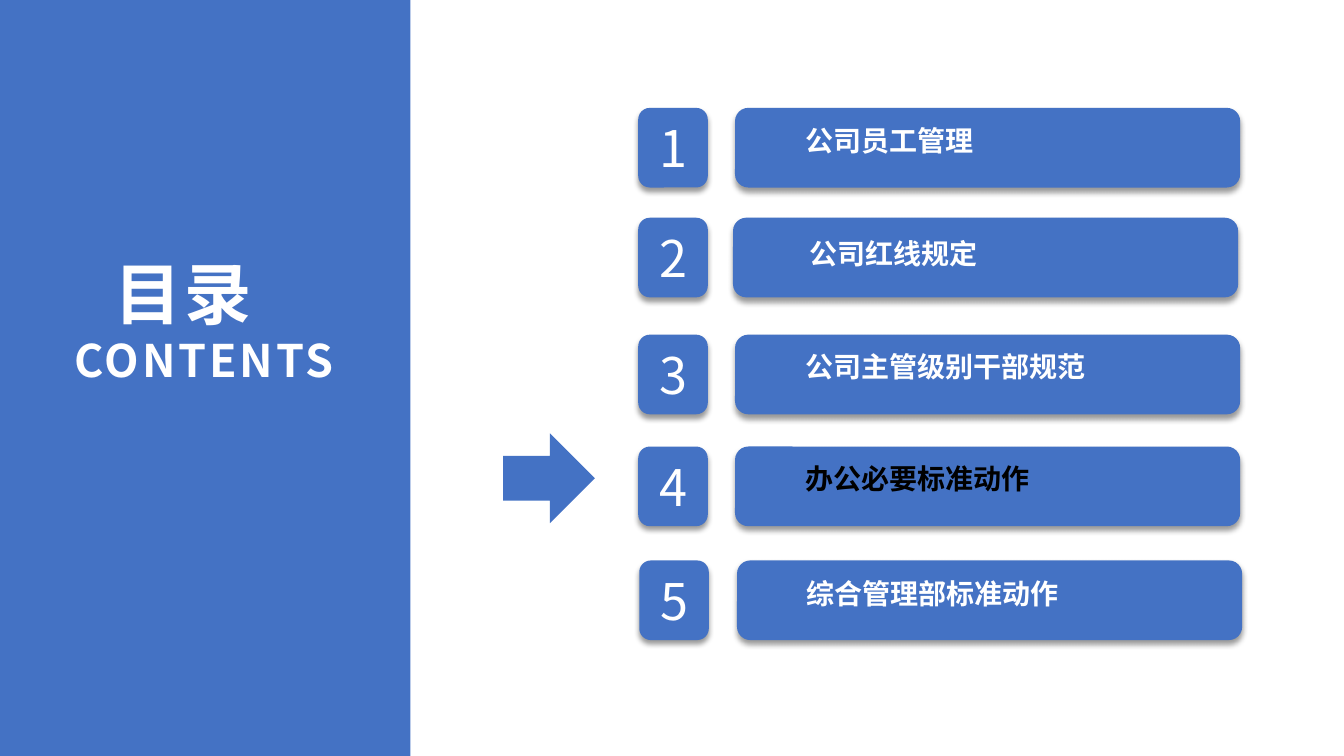
from dataclasses import dataclass

from lxml import etree
from pptx import Presentation
from pptx.dml.color import RGBColor
from pptx.enum.shapes import MSO_SHAPE
from pptx.enum.text import MSO_ANCHOR, MSO_AUTO_SIZE, PP_ALIGN
from pptx.oxml.ns import qn
from pptx.util import Inches, Pt

RECTANGLE, ROUNDED = MSO_SHAPE.RECTANGLE, MSO_SHAPE.ROUNDED_RECTANGLE
DOWN_ARROW = MSO_SHAPE.DOWN_ARROW
TOP, MIDDLE = MSO_ANCHOR.TOP, MSO_ANCHOR.MIDDLE
LEFT, CENTER, RIGHT = PP_ALIGN.LEFT, PP_ALIGN.CENTER, PP_ALIGN.RIGHT
NO_FIT, GROW = MSO_AUTO_SIZE.NONE, MSO_AUTO_SIZE.SHAPE_TO_FIT_TEXT

# Content
TITLE = [("目录 ", 48, CENTER), ("CONTENTS", 32, RIGHT)]
CURRENT = 4
# heading, row top, badge left, card left, label left, label drop, label width
CHAPTERS = [
    ("公司员工管理", 1.07, 6.33, 7.29, 7.81, 0.06, 3.55),
    ("公司红线规定", 2.16, 6.33, 7.27, 7.85, 0.10, 3.55),
    ("公司主管级别干部规范", 3.32, 6.33, 7.29, 7.81, 0.06, 3.66),
    ("办公必要标准动作", 4.43, 6.33, 7.29, 7.81, 0.06, 3.66),
    ("综合管理部标准动作", 5.56, 6.34, 7.31, 7.82, 0.07, 3.66),
]
BADGE_WIDTH, CARD_WIDTH, ROW_HEIGHT, LABEL_HEIGHT = 0.69, 5.01, 0.79, 0.51


@dataclass(frozen=True)
class Theme:
    blue: RGBColor = RGBColor(0x44, 0x72, 0xC4)
    white: RGBColor = RGBColor(0xFF, 0xFF, 0xFF)
    black: RGBColor = RGBColor(0, 0, 0)
    font: str = "Noto Sans CJK SC"
    number: int = 36
    heading: int = 20


THEME = Theme()


def add_block(shapes, kind, left, top, width, height):
    block = shapes.add_shape(kind, Inches(left), Inches(top), Inches(width), Inches(height))
    block.shadow.inherit = False
    block.fill.solid()
    block.fill.fore_color.rgb = THEME.blue
    block.line.fill.background()
    return block


def add_shadow(block):
    effects = block._element.spPr.find(qn("a:effectLst"))
    shadow = etree.SubElement(effects, qn("a:outerShdw"), blurRad=str(Pt(4)),
                              dist=str(Pt(3)), dir="5400000", algn="t", rotWithShape="0")
    color = etree.SubElement(shadow, qn("a:srgbClr"), val="000000")
    etree.SubElement(color, qn("a:alpha"), val="40000")


def set_frame(box, side, end, anchor, fit):
    frame = box.text_frame
    frame.word_wrap = True
    frame.auto_size = fit
    frame.vertical_anchor = anchor
    frame.margin_left = frame.margin_right = Inches(side)
    frame.margin_top = frame.margin_bottom = Inches(end)
    return frame


def format_para(para, size, color, align, bold=False, spacing=0):
    para.alignment = align
    for span in para.runs:
        span.font.name = THEME.font
        span.font.size = Pt(size)
        span.font.bold = bold
        span.font.color.rgb = color
        properties = span.font._element
        east_asian = etree.Element(qn("a:ea"), typeface=THEME.font)
        properties.find(qn("a:latin")).addnext(east_asian)
        if spacing:
            properties.set("spc", str(spacing * 100))


def add_chapter(page, number, chapter):
    heading, top, badge_left, card_left, label_left, drop, label_width = chapter

    badge = add_block(page.shapes, ROUNDED, badge_left, top, BADGE_WIDTH, ROW_HEIGHT)
    add_shadow(badge)
    frame = set_frame(badge, 0.13, 0.07, MIDDLE, NO_FIT)
    frame.text = str(number)
    format_para(frame.paragraphs[0], THEME.number, THEME.white, CENTER)

    group = page.shapes.add_group_shape()
    add_shadow(add_block(group.shapes, ROUNDED, card_left, top, CARD_WIDTH, ROW_HEIGHT))
    label = group.shapes.add_textbox(Inches(label_left), Inches(top + drop),
                                     Inches(label_width), Inches(LABEL_HEIGHT))
    frame = set_frame(label, 0.18, 0.09, TOP, GROW)
    frame.text = heading
    color = THEME.black if number == CURRENT else THEME.white
    format_para(frame.paragraphs[0], THEME.heading, color, LEFT, bold=True)


def main():
    deck = Presentation()
    deck.slide_width, deck.slide_height = Inches(13.33), Inches(7.5)
    page = deck.slides.add_slide(deck.slide_layouts[5])

    # Side panel with the title in front of it
    panel = add_block(page.shapes, RECTANGLE, 0, 0, 4.07, 7.5)
    title = page.shapes.title
    panel._element.addnext(title._element)
    title.left, title.top = Inches(0.37), Inches(2.43)
    title.width, title.height = Inches(3.07), Inches(1.48)
    frame = set_frame(title, 0.13, 0.07, TOP, GROW)
    frame.text = "\n".join(text for text, _, _ in TITLE)
    for para, (_, size, align) in zip(frame.paragraphs, TITLE):
        format_para(para, size, THEME.white, align, bold=True, spacing=2)

    # Chapter rows
    for number, chapter in enumerate(CHAPTERS, start=1):
        add_chapter(page, number, chapter)

    # Arrow pointing at the current chapter
    arrow = add_block(page.shapes, DOWN_ARROW, 5, 4.29, 0.89, 0.91)
    arrow.rotation = 270

    deck.save("out.pptx")


if __name__ == "__main__":
    main()
